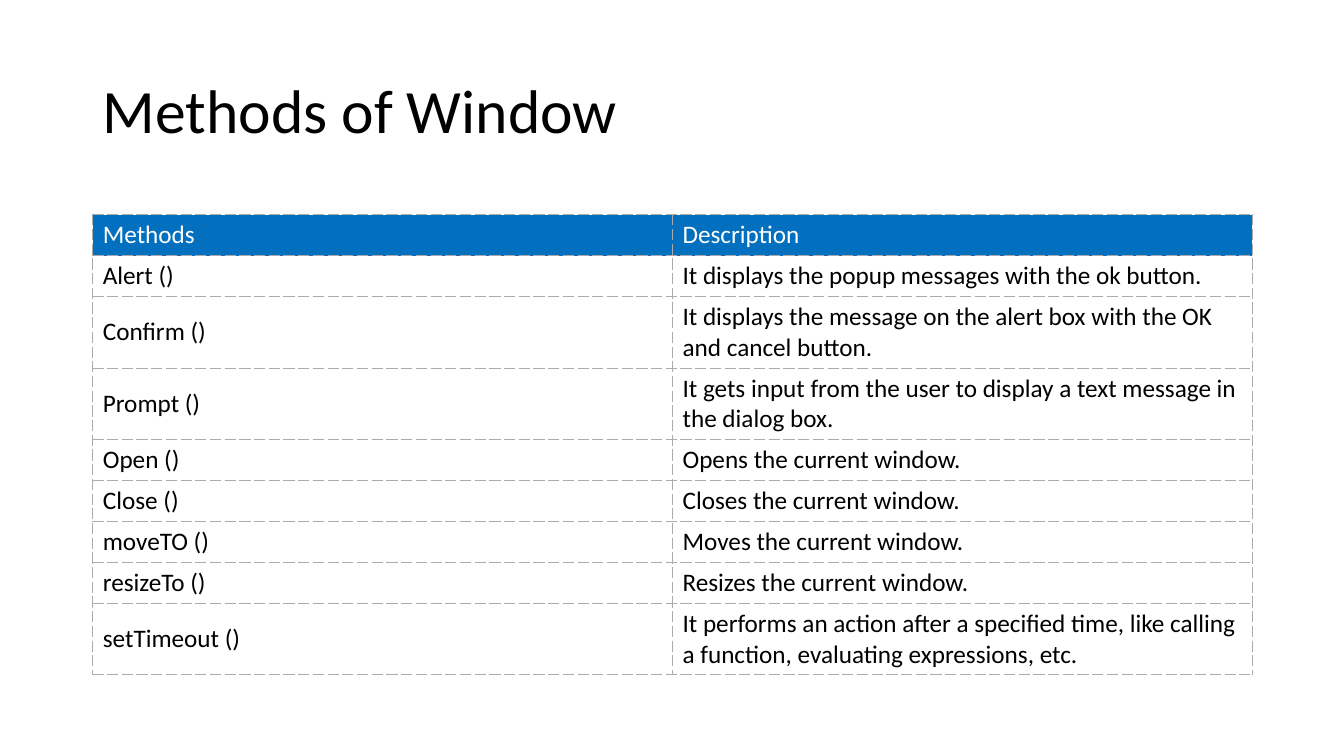
from lxml import etree
from pptx import Presentation
from pptx import util as u
from pptx.dml.color import RGBColor
from pptx.enum import text
from pptx.oxml import ns

COLORS = {"ink": "000000", "paper": "FFFFFF", "header": "0270BF", "border": "ABABAB"}
METHODS = [
    ("Methods", "Description"),
    ("Alert ()", "It displays the popup messages with the ok button."),
    ("Confirm ()", "It displays the message on the alert box with the OK and cancel button."),
    ("Prompt ()", "It gets input from the user to display a text message in the dialog box."),
    ("Open ()", "Opens the current window."),
    ("Close ()", "Closes the current window."),
    ("moveTO ()", "Moves the current window."),
    ("resizeTo ()", "Resizes the current window."),
    ("setTimeout ()", "It performs an action after a specified time, "
                      "like calling a function, evaluating expressions, etc."),
]
LINE_CHARS = 55  # characters that fit on one line of a description


class Deck:
    """Holds the text style and the current slide."""

    font = "Calibri"

    def __init__(self, slide):
        self.slide = slide

    def style(self, paragraph, size, color):
        paragraph.font.name = self.font
        paragraph.font.size = u.Pt(size)
        paragraph.font.color.rgb = RGBColor.from_string(COLORS[color])
        paragraph.alignment = text.PP_ALIGN.LEFT

    def title(self, wording, left, top, width, height):
        heading = self.slide.shapes.title
        heading.left, heading.top = u.Inches(left), u.Inches(top)
        heading.width, heading.height = u.Inches(width), u.Inches(height)
        frame = heading.text_frame
        frame.text = wording
        frame.vertical_anchor = text.MSO_ANCHOR.MIDDLE
        frame.paragraphs[0].line_spacing = 0.9
        self.style(frame.paragraphs[0], 44, "ink")

    def border(self, cell):
        properties = cell._tc.get_or_add_tcPr()
        for index, side in enumerate(("lnL", "lnR", "lnT", "lnB")):
            line = etree.Element(ns.qn(f"a:{side}"), w=str(u.Pt(0.75)))
            fill = etree.SubElement(line, ns.qn("a:solidFill"))
            etree.SubElement(fill, ns.qn("a:srgbClr"), val=COLORS["border"])
            etree.SubElement(line, ns.qn("a:prstDash"), val="dash")
            properties.insert(index, line)

    def cell(self, cell, wording, color, fill):
        cell.text = wording
        cell.vertical_anchor = text.MSO_ANCHOR.MIDDLE
        cell.fill.solid()
        cell.fill.fore_color.rgb = RGBColor.from_string(COLORS[fill])
        self.style(cell.text_frame.paragraphs[0], 18, color)
        self.border(cell)

    def table(self, rows, left, top, width, height):
        grid = self.slide.shapes.add_table(
            len(rows), len(rows[0]), u.Inches(left), u.Inches(top),
            u.Inches(width), u.Inches(height)).table
        grid.horz_banding = False
        for r, row in enumerate(rows):
            two_lines = len(row[-1]) > LINE_CHARS
            grid.rows[r].height = u.Inches(0.71 if two_lines else 0.405)
            color, fill = ("ink", "paper") if r else ("paper", "header")
            for c, wording in enumerate(row):
                self.cell(grid.cell(r, c), wording, color, fill)


# Slide
presentation = Presentation()
presentation.slide_width, presentation.slide_height = u.Inches(13.33), u.Inches(7.5)
title_only = presentation.slide_layouts[5]
deck = Deck(presentation.slides.add_slide(title_only))

# Heading
deck.title("Methods of Window", 0.92, 0.4, 11.5, 1.45)

# Window methods and what they do
deck.table(METHODS, 0.92, 2.13, 11.5, 4.56)

presentation.save("out.pptx")
